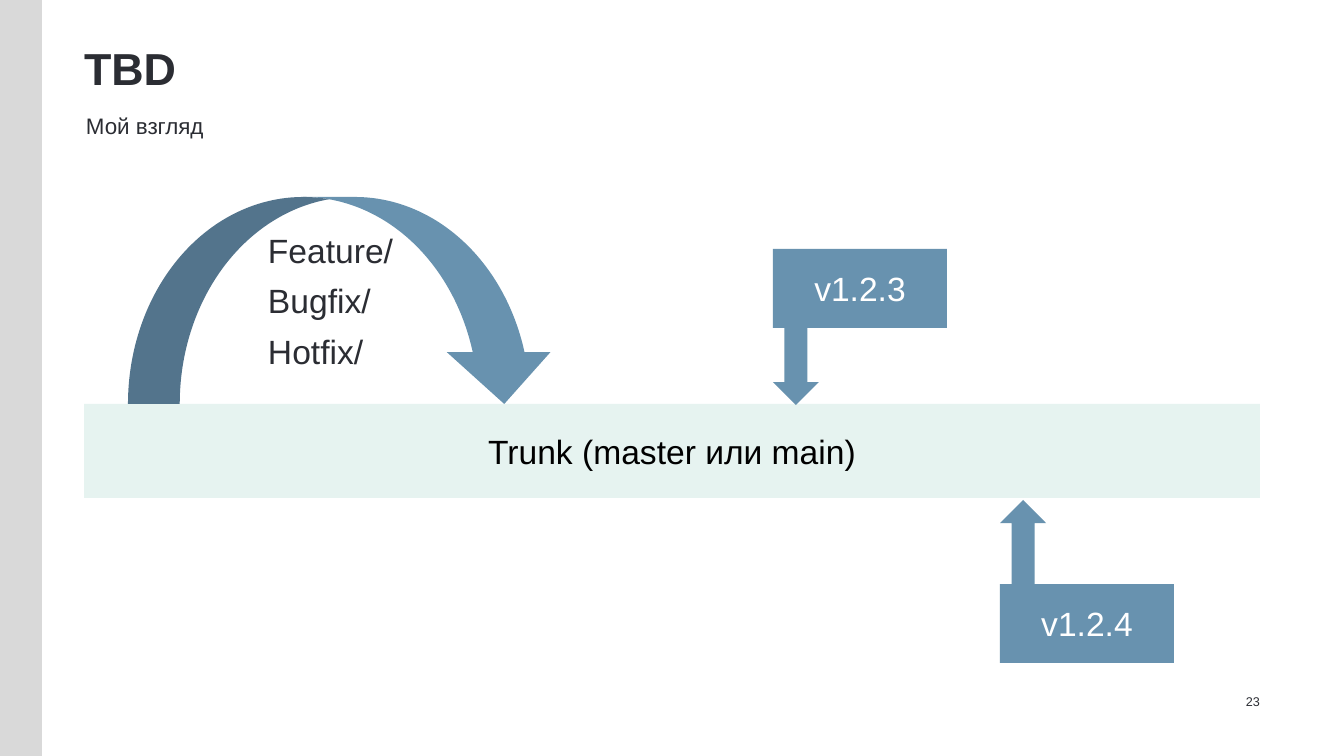
import pptx
import pptx.util
import pptx.dml.color
import pptx.enum.shapes
import pptx.enum.text
import lxml.etree

KIND = pptx.enum.shapes.MSO_SHAPE
ALIGN = pptx.enum.text.PP_ALIGN
ANCHOR = pptx.enum.text.MSO_ANCHOR

PAGE_SIZE = (1344, 756)
FONT = "Arial"
INK, BLACK, WHITE = "2B2D33", "000000", "FFFFFF"
STEEL, MINT, GREY = "6892AF", "E6F3F0", "D9D9D9"

TITLE = "TBD"
SUBTITLE = "Мой взгляд"
PAGE_NUMBER = "23"
TRUNK = "Trunk (master или main)"
BRANCHES = ["Feature/", "Bugfix/", "Hotfix/"]
RELEASES = [
    {"name": "v1.2.3", "left": 773, "label_top": 249, "arrow_top": 321, "turn": 0},
    {"name": "v1.2.4", "left": 1000, "label_top": 584, "arrow_top": 500, "turn": 180},
]
LABEL_SIZE = (174, 79)
ARROW_SIZE = (46, 84)


def px(length):
    return pptx.util.Emu(round(length * 914400 / 100.8))


def colour(value):
    return pptx.dml.color.RGBColor.from_string(value)


def place(box, left, top, width, height):
    box.left, box.top, box.width, box.height = px(left), px(top), px(width), px(height)


def write(box, lines, size, ink, align=ALIGN.LEFT, anchor=ANCHOR.MIDDLE,
          insets=(10, 10), bold=False, gap=0, spacing=1.0):
    frame = box.text_frame
    frame.auto_size = pptx.enum.text.MSO_AUTO_SIZE.NONE
    frame.word_wrap = True
    frame.vertical_anchor = anchor
    frame.margin_left, frame.margin_right = px(insets[0]), px(insets[1])
    frame.margin_top = frame.margin_bottom = px(5)
    for index, line in enumerate(lines):
        para = frame.add_paragraph() if index else frame.paragraphs[0]
        para.alignment = align
        para.line_spacing = spacing
        para.space_before = pptx.util.Pt(gap if index else 0)
        span = para.add_run()
        span.text = line
        span.font.name = FONT
        span.font.size = pptx.util.Pt(size)
        span.font.bold = bold
        span.font.color.rgb = colour(ink)


def add_block(shapes, kind, left, top, width, height, fill):
    block = shapes.add_shape(kind, px(left), px(top), px(width), px(height))
    block.shadow.inherit = False
    block.fill.solid()
    block.fill.fore_color.rgb = colour(fill)
    block.line.fill.background()
    return block


def add_release(page, release):
    group = page.shapes.add_group_shape()
    left = release["left"]
    label = add_block(group.shapes, KIND.RECTANGLE, left, release["label_top"],
                      *LABEL_SIZE, STEEL)
    write(label, [release["name"]], 24, WHITE, ALIGN.CENTER)
    arrow = add_block(group.shapes, KIND.DOWN_ARROW, left, release["arrow_top"],
                      *ARROW_SIZE, STEEL)
    arrow.rotation = release["turn"]


def main():
    deck = pptx.Presentation()
    deck.slide_width, deck.slide_height = map(px, PAGE_SIZE)
    page = deck.slides.add_slide(deck.slide_layouts[1])

    add_block(page.shapes, KIND.RECTANGLE, 0, 0, 42, PAGE_SIZE[1], GREY)

    title = page.shapes.title
    place(title, 84, 42, 1176, 63)
    write(title, [TITLE], 32, INK, anchor=ANCHOR.TOP, insets=(0, 10),
          bold=True, spacing=0.9)

    subtitle = page.placeholders[1]
    place(subtitle, 84, 105, 756, 42)
    properties = subtitle.text_frame.paragraphs[0]._p.get_or_add_pPr()
    properties.set("marL", "0")
    properties.set("indent", "0")
    lxml.etree.SubElement(properties, pptx.oxml.ns.qn("a:buNone"))
    write(subtitle, [SUBTITLE], 16, INK, insets=(2, 10))

    number = page.shapes.add_textbox(px(1176), px(672), px(84), px(42))
    write(number, [PAGE_NUMBER], 9, INK, ALIGN.RIGHT, ANCHOR.BOTTOM, (10, 0))

    trunk = add_block(page.shapes, KIND.RECTANGLE, 84, 404, 1176, 94, MINT)
    write(trunk, [TRUNK], 24, BLACK, ALIGN.CENTER)

    loop = add_block(page.shapes, KIND.CURVED_DOWN_ARROW, 128, 197, 428, 207, STEEL)
    write(loop, BRANCHES, 24, INK, insets=(140, 10), gap=7)

    for release in RELEASES:
        add_release(page, release)

    deck.save("out.pptx")


if __name__ == "__main__":
    main()
